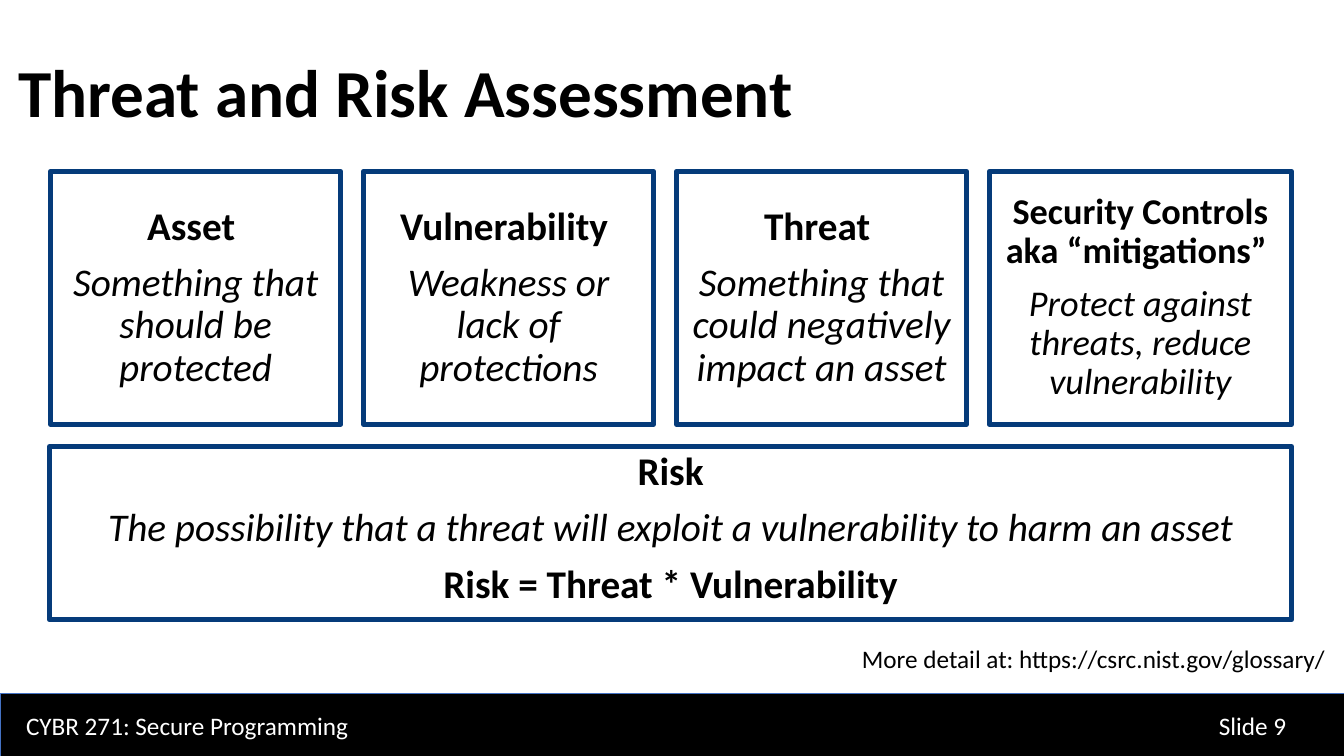
from pptx import Presentation, util as u
from pptx.dml.color import RGBColor
from pptx.enum import shapes, text

NAVY = RGBColor(0x05, 0x3B, 0x7A)
BLUE = RGBColor(0x44, 0x72, 0xC4)
BLACK = RGBColor(0, 0, 0)
WHITE = RGBColor(255, 255, 255)
TOP, MID = text.MSO_ANCHOR.TOP, text.MSO_ANCHOR.MIDDLE
LEFT, CENTER = text.PP_ALIGN.LEFT, text.PP_ALIGN.CENTER
BOLD, ITAL, PLAIN = (True, False), (False, True), (False, False)

CARDS = [
    ("Asset ", "Something that should be protected", 28),
    ("Vulnerability ", "Weakness or lack of protections", 28),
    ("Threat ", "Something that could negatively impact an asset", 28),
    ("Security Controls\naka “mitigations” ",
     "Protect against threats, reduce vulnerability", 25.9),
]
RISK = [
    ("Risk", BOLD),
    ("The possibility that a threat will exploit a vulnerability to harm an asset", ITAL),
    ("Risk = Threat * Vulnerability", BOLD),
]


class Deck:
    """Draws styled elements on one slide, on a grid of 133.3 columns by 75 rows."""

    font = "Calibri"
    cols, rows = 133.3, 75

    def __init__(self):
        self.prs = Presentation()
        self.prs.slide_width = u.Inches(13.33)
        self.prs.slide_height = u.Inches(7.5)
        self.slide = self.prs.slides.add_slide(self.prs.slide_layouts[5])

    def area(self, col, row, wide, high):
        x = self.prs.slide_width / self.cols
        y = self.prs.slide_height / self.rows
        return [int(n) for n in (col * x, row * y, wide * x, high * y)]

    def label(self, shape, lines, size, color=BLACK, align=LEFT, anchor=TOP, lead=1, gap=0):
        frame = shape.text_frame
        frame.word_wrap = True
        frame.auto_size = text.MSO_AUTO_SIZE.NONE
        frame.vertical_anchor = anchor
        for i, (words, (bold, ital)) in enumerate(lines):
            para = frame.add_paragraph() if i else frame.paragraphs[0]
            para.text = words
            para.alignment = align
            para.line_spacing = lead
            para.space_before = u.Pt(gap)
            for run in para.runs:
                font = run.font
                font.name, font.size = self.font, u.Pt(size)
                font.bold, font.italic = bold, ital
                font.color.rgb = color

    def title(self, words, *area):
        shape = self.slide.shapes.title
        shape.left, shape.top, shape.width, shape.height = self.area(*area)
        self.label(shape, [(words, BOLD)], 48, anchor=MID)

    def box(self, area, fill=None, line=None, width=3.5):
        shape = self.slide.shapes.add_shape(shapes.MSO_SHAPE.RECTANGLE, *self.area(*area))
        shape.shadow.inherit = False
        if fill is None:
            shape.fill.background()
        else:
            shape.fill.solid()
            shape.fill.fore_color.rgb = fill
        if line is None:
            shape.line.fill.background()
        else:
            shape.line.color.rgb = line
            shape.line.width = u.Pt(width)
        return shape

    def panel(self, area, lines, size, anchor):
        shape = self.box(area, line=NAVY)
        self.label(shape, lines, size, align=CENTER, anchor=anchor, lead=0.9, gap=10)

    def tag(self, words, *area):
        self.label(self.box(area, fill=BLACK), [(words, PLAIN)], 18, WHITE)

    def note(self, words, *area):
        shape = self.slide.shapes.add_textbox(*self.area(*area))
        self.label(shape, [(words, PLAIN)], 18)
        shape.text_frame.word_wrap = False


def main():
    deck = Deck()
    deck.title("Threat and Risk Assessment", 0.8, 4.4, 88.7, 9.1)
    deck.panel((4.9, 44.3, 123.2, 17.2), RISK, 28, TOP)
    for i, (name, gist, size) in enumerate(CARDS):
        wide = 30 if i == len(CARDS) - 1 else 28.8
        deck.panel((5 + 31.04 * i, 17, wide, 25.1), [(name, BOLD), (gist, ITAL)], size, MID)
    deck.box((0, 68.8, deck.cols, 6.2), BLACK, BLUE, 0.5)
    deck.tag("CYBR 271: Secure Programming", 1.6, 70, 48.9, 4)
    deck.tag("Slide 9", 119.9, 70, 10.9, 4)
    deck.note("More detail at: https://csrc.nist.gov/glossary/", 84.5, 63.3, 48.9, 4)
    deck.prs.save("out.pptx")


if __name__ == "__main__":
    main()
